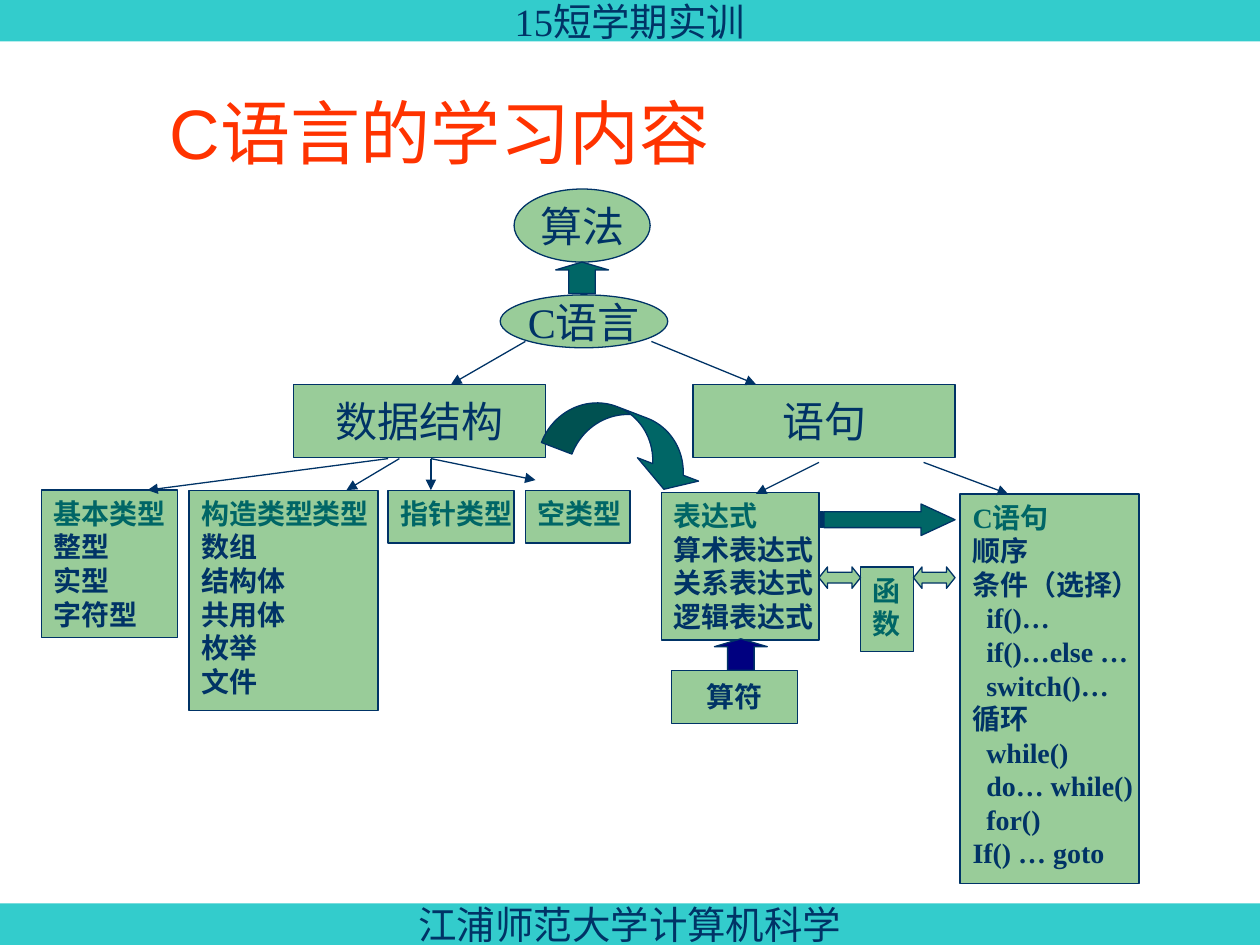
from lxml import etree
from pptx import Presentation
from pptx.dml.color import RGBColor
from pptx.enum import shapes, text
from pptx.oxml import ns
from pptx.util import Inches, Pt

CELL = 1 / 12
KIND = shapes.MSO_SHAPE
MID = text.MSO_ANCHOR.MIDDLE
TOP = text.MSO_ANCHOR.TOP
LEFT = text.PP_ALIGN.LEFT
CENTER = text.PP_ALIGN.CENTER


def cells(*nums):
    return [Inches(round(n * CELL, 2)) for n in nums]


def paint(color, code):
    color.rgb = RGBColor.from_string(code)


def write(frame, lines, size=16, font="Times New Roman", color="003366", head=None,
          bold=False, align=LEFT, anchor=TOP, wrap=False, space=None, inset=()):
    frame.word_wrap = wrap
    frame.vertical_anchor = anchor
    for i, line in enumerate(lines):
        par = frame.paragraphs[0] if i == 0 else frame.add_paragraph()
        par.alignment = align
        if space:
            par.line_spacing = space
        if line in inset:
            props = par._p.get_or_add_pPr()
            props.set("marL", str(Inches(0.11)))
            props.set("indent", "0")
        run = par.add_run()
        run.text = line
        run.font.size = Pt(size)
        run.font.name = font
        run.font.bold = bold
        paint(run.font.color, head if head and i == 0 else color)


class Board:
    ink, leaf, teal, band, navy = "003366", "99CC99", "006666", "33CCCC", "000080"

    def __init__(self, slide):
        self.items = slide.shapes

    def shape(self, kind, place, fill, edge=True, adjust=(), turn=0):
        item = self.items.add_shape(kind, *cells(*place))
        item.shadow.inherit = False
        item.fill.solid()
        paint(item.fill.fore_color, fill)
        if edge:
            paint(item.line.color, self.ink)
            item.line.width = Pt(0.75)
        else:
            item.line.fill.background()
        for i, value in enumerate(adjust):
            item.adjustments[i] = value
        item.rotation = turn
        return item

    def bar(self, row, label):
        item = self.shape(KIND.RECTANGLE, (0, row, 120, 4), self.band, edge=False)
        write(item.text_frame, [label], size=22, align=CENTER, anchor=MID)

    def node(self, kind, place, label, size=24, bold=False):
        item = self.shape(kind, place, self.leaf)
        write(item.text_frame, [label], size=size, bold=bold, align=CENTER, anchor=MID)

    def listing(self, place, lines, inset=()):
        item = self.shape(KIND.RECTANGLE, place, self.leaf)
        write(item.text_frame, lines, head=self.teal, bold=True, inset=inset)

    def arrow(self, x1, y1, x2, y2):
        link = self.items.add_connector(shapes.MSO_CONNECTOR.STRAIGHT, *cells(x1, y1, x2, y2))
        paint(link.line.color, self.ink)
        link.line.width = Pt(0.75)
        tail = etree.SubElement(link.line._get_or_add_ln(), ns.qn("a:tailEnd"))
        tail.set("type", "triangle")
        etree.SubElement(link._element.spPr, ns.qn("a:effectLst"))

    def title(self, place, label):
        box = self.items.add_textbox(*cells(*place))
        write(box.text_frame, [label], size=40, font="Arial", color="FF3300",
              anchor=MID, wrap=True, space=0.9)


def main():
    deck = Presentation()
    deck.slide_width, deck.slide_height = Inches(10), Inches(7.5)
    board = Board(deck.slides.add_slide(deck.slide_layouts[6]))

    board.bar(0, "15短学期实训")
    board.bar(86.1, "江浦师范大学计算机科学")
    board.title((15, 9, 96, 8), "C语言的学习内容")

    board.node(KIND.OVAL, (47.6, 28.1, 16, 5), "C语言")
    board.node(KIND.OVAL, (49, 18, 13, 7), "算法")
    board.node(KIND.RECTANGLE, (28, 36.6, 24, 7), "数据结构")
    board.node(KIND.RECTANGLE, (66, 36.6, 25, 7), "语句")
    board.node(KIND.RECTANGLE, (64, 63.8, 12, 5), "算符", size=16, bold=True)

    types, parts = 46.7, 46.95
    board.listing((4, types, 13, 14), ["基本类型", "整型", "实型", "字符型"])
    board.listing((18, types, 18, 21),
                  ["构造类型类型", "数组", "结构体", "共用体", "枚举", "文件"])
    board.listing((37, types, 12, 5), ["指针类型"])
    board.listing((50, types, 10, 5), ["空类型"])
    board.listing((63, parts, 15, 14),
                  ["表达式", "算术表达式", "关系表达式", "逻辑表达式"])
    choice = ["if()…", "if()…else …", "switch()…"]
    loops = ["while()", "do… while()", "for()"]
    board.listing((91.4, 47, 17, 37.1),
                  ["C语句", "顺序", "条件（选择）", *choice, "循环", *loops, "If() … goto"],
                  inset=choice + loops)
    pair = board.shape(KIND.RECTANGLE, (82, 54, 5, 8), board.leaf)
    write(pair.text_frame, ["函", "数"], color=board.teal, bold=True)

    for ends in [(50, 32.5, 43, 36.6), (62, 32.5, 72, 36.6),
                 (37, 43.7, 14, types), (38, 43.7, 33, types),
                 (41, 43.7, 41, types), (41, 43.7, 51, 45.7),
                 (78, 44, 72, 47), (88, 44, 96, 47)]:
        board.arrow(*ends)

    for col, row, fill in [(52.9, 25, board.teal), (68, 60.9, board.navy)]:
        board.shape(KIND.UP_ARROW, (col, row, 5, 3), fill, adjust=(0.5, 0.25))
    for col in (78, 87):
        board.shape(KIND.LEFT_RIGHT_ARROW, (col, 54, 4, 2), board.leaf, adjust=(0.5, 0.4))
    board.shape(KIND.CURVED_DOWN_ARROW, (52.1, 39.4, 15.6, 5.8), board.teal,
                adjust=(0.54, 1.08, 0.33), turn=20.9)
    board.shape(KIND.STRIPED_RIGHT_ARROW, (78, 48, 13, 3), board.teal, adjust=(0.5, 1.08))

    deck.save("out.pptx")


if __name__ == "__main__":
    main()
